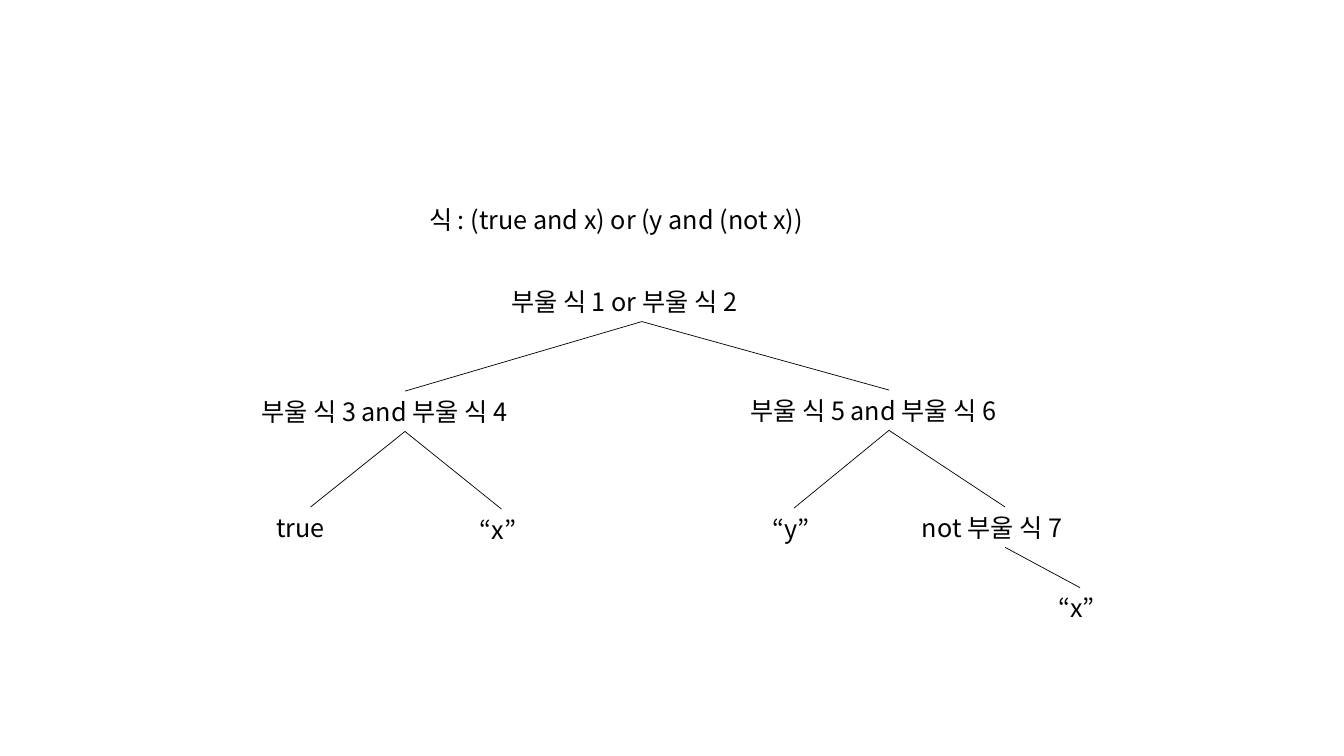
from lxml import etree
from pptx import Presentation
from pptx.dml.color import RGBColor
from pptx.enum.shapes import MSO_CONNECTOR
from pptx.enum.text import MSO_AUTO_SIZE
from pptx.oxml.ns import qn
from pptx.util import Pt

COLORS = {"ink": "000000"}
FONT = "Noto Sans CJK KR"
BOX_HEIGHT = 28.8
BOTTOM, TOP = 2, 0

EXPRESSION = ("식 : (true and x) or (y and (not x))", 299.5, 142.6, 383.8)

# name: (text, left, top, width)
NODES = {
    "or": ("부울 식 1 or 부울 식 2", 358, 200.9, 200.9),
    "left and": ("부울 식 3 and 부울 식 4", 179.5, 279.4, 219.6),
    "right and": ("부울 식 5 and 부울 식 6", 528.8, 278.6, 212.4),
    "true": ("true", 190.1, 362.2, 63.4),
    "left x": ("“x”", 335.5, 363.6, 45.4),
    "y": ("“y”", 544.5, 362.9, 45.4),
    "not": ("not 부울 식 7", 651.4, 362.2, 133.2),
    "right x": ("“x”", 748.8, 419.8, 45.4),
}

CHILDREN = {
    "or": ["left and", "right and"],
    "left and": ["true", "left x"],
    "right and": ["y", "not"],
    "not": ["right x"],
}


def add_label(s, text, left, top, width):
    sp = s.shapes.add_textbox(Pt(left), Pt(top), Pt(width), Pt(BOX_HEIGHT))
    tf = sp.text_frame
    tf.word_wrap = True
    tf.auto_size = MSO_AUTO_SIZE.SHAPE_TO_FIT_TEXT
    tf.text = text
    r = tf.paragraphs[0].runs[0]
    r.font.size = Pt(18)
    r.font.name = FONT
    r.font.color.rgb = RGBColor.from_string(COLORS["ink"])
    # Hangul takes its typeface from the East Asian font
    etree.SubElement(r.font._element, qn("a:ea"), typeface=FONT)
    return sp


def add_branch(s, parent, child):
    line = s.shapes.add_connector(MSO_CONNECTOR.STRAIGHT, 0, 0, 0, 0)
    line.begin_connect(parent, BOTTOM)
    line.end_connect(child, TOP)
    line.line.color.rgb = RGBColor.from_string(COLORS["ink"])
    line.line.width = Pt(0.5)
    etree.SubElement(line._element.spPr, qn("a:effectLst"))


def main():
    prs = Presentation()
    prs.slide_width, prs.slide_height = Pt(960), Pt(540)
    s = prs.slides.add_slide(prs.slide_layouts[6])

    add_label(s, *EXPRESSION)
    boxes = {name: add_label(s, *node) for name, node in NODES.items()}
    for parent, children in CHILDREN.items():
        for child in children:
            add_branch(s, boxes[parent], boxes[child])

    prs.save("out.pptx")


if __name__ == "__main__":
    main()
